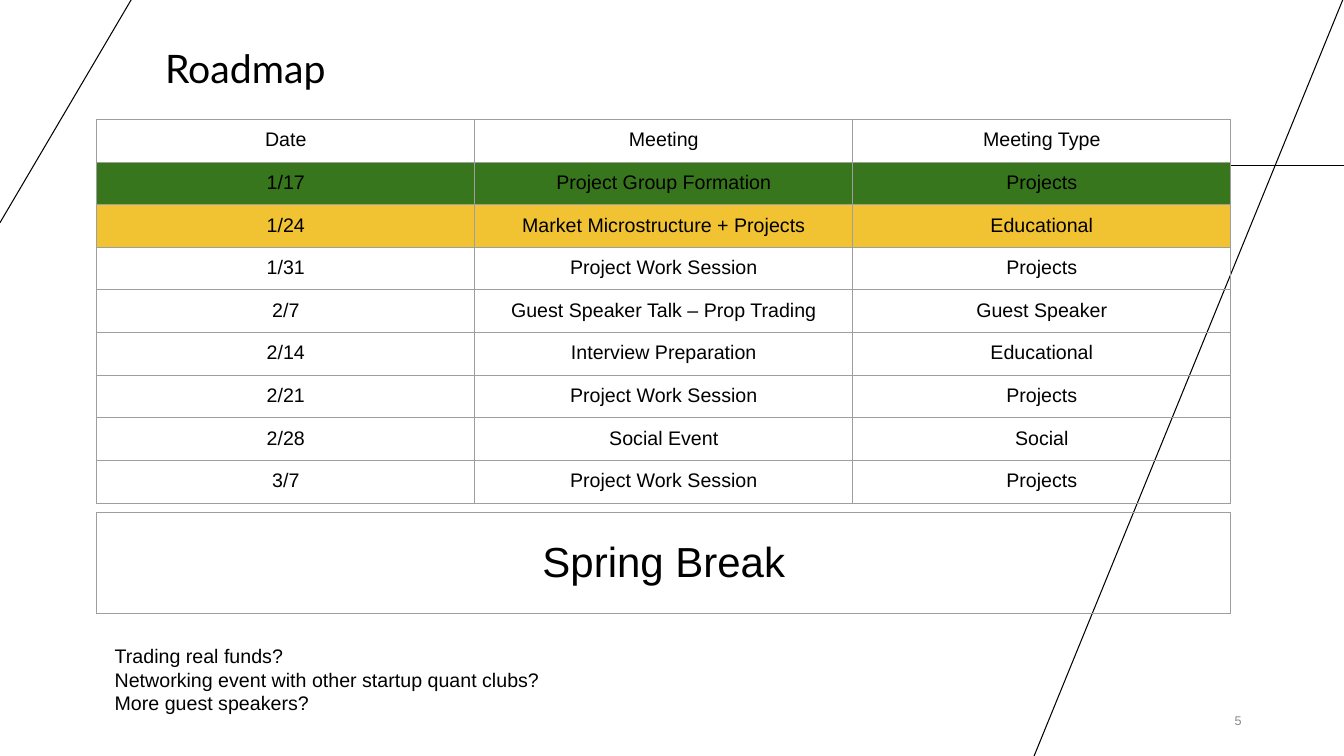
from dataclasses import dataclass

from lxml import etree
from pptx import Presentation
from pptx import util as u
from pptx.dml import color
from pptx.enum import shapes, text
from pptx.oxml import ns

BLACK, GREY, BORDER = "000000", "888888", "9E9E9E"
GREEN, YELLOW = "38761D", "F1C232"
NO_STYLE = "{2D5ABB26-0587-4C30-8999-92F81FD0307C}"
TABLE_LEFT, TABLE_WIDTH = 2.44, 28.58


@dataclass
class Line:
    x1: float
    y1: float
    x2: float
    y2: float


@dataclass
class TextStyle:
    size: float
    font: str = "Arial"
    colour: str = BLACK
    align: text.PP_ALIGN = text.PP_ALIGN.LEFT
    anchor: text.MSO_ANCHOR = text.MSO_ANCHOR.TOP
    spacing: float = 1.0


@dataclass
class Label:
    left: float
    top: float
    width: float
    height: float
    lines: list[str]
    style: TextStyle
    inset_x: float = 0.25
    inset_y: float = 0.13


@dataclass
class Row:
    cells: list[str]
    fill: str | None = None


BACKGROUND_LINES = [
    Line(25.27, 4.17, 33.87, 4.17),
    Line(33.87, -0.08, 26.06, 19.05),
    Line(0, 5.61, 3.35, -0.08),
]

LABELS = [
    Label(3.91, 0.86, 20.24, 1.6, ["Roadmap"],
          TextStyle(28, "Lato", anchor=text.MSO_ANCHOR.BOTTOM, spacing=0.9)),
    Label(28.8, 17.65, 2.74, 1.02, ["5"],
          TextStyle(9, colour=GREY, align=text.PP_ALIGN.RIGHT,
                    anchor=text.MSO_ANCHOR.MIDDLE)),
    Label(2.64, 15.98, 25.81, 2.82,
          ["Trading real funds?",
           "Networking event with other startup quant clubs?",
           "More guest speakers?"],
          TextStyle(14), inset_y=0.25),
]

SCHEDULE = [
    Row(["Date", "Meeting", "Meeting Type"]),
    Row(["1/17", "Project Group Formation", "Projects"], GREEN),
    Row(["1/24", "Market Microstructure + Projects", "Educational"], YELLOW),
    Row(["1/31", "Project Work Session", "Projects"]),
    Row(["2/7", "Guest Speaker Talk – Prop Trading", "Guest Speaker"]),
    Row(["2/14", "Interview Preparation", "Educational"]),
    Row(["2/21", "Project Work Session", "Projects"]),
    Row(["2/28", "Social Event", "Social"]),
    Row(["3/7", "Project Work Session", "Projects"]),
]


def rgb(value: str) -> color.RGBColor:
    return color.RGBColor.from_string(value)


def write_lines(frame, lines: list[str], style: TextStyle) -> None:
    for index, line in enumerate(lines):
        paragraph = frame.paragraphs[0] if index == 0 else frame.add_paragraph()
        paragraph.alignment = style.align
        paragraph.line_spacing = style.spacing
        run = paragraph.add_run()
        run.text = line
        run.font.size = u.Pt(style.size)
        run.font.name = style.font
        run.font.color.rgb = rgb(style.colour)


def add_line(slide, line: Line) -> None:
    connector = slide.shapes.add_connector(
        shapes.MSO_CONNECTOR.STRAIGHT,
        u.Cm(line.x1), u.Cm(line.y1), u.Cm(line.x2), u.Cm(line.y2))
    connector.line.color.rgb = rgb(BLACK)
    connector.line.width = u.Pt(0.75)
    etree.SubElement(connector._element.spPr, ns.qn("a:effectLst"))


def add_label(slide, label: Label) -> None:
    shape = slide.shapes.add_textbox(
        u.Cm(label.left), u.Cm(label.top), u.Cm(label.width), u.Cm(label.height))
    frame = shape.text_frame
    frame.word_wrap = True
    frame.vertical_anchor = label.style.anchor
    frame.margin_left = frame.margin_right = u.Cm(label.inset_x)
    frame.margin_top = frame.margin_bottom = u.Cm(label.inset_y)
    write_lines(frame, label.lines, label.style)


def add_borders(cell) -> None:
    properties = cell._tc.get_or_add_tcPr()
    for side in ("a:lnL", "a:lnR", "a:lnT", "a:lnB"):
        border = etree.SubElement(properties, ns.qn(side), w=str(u.Pt(0.75)))
        fill = etree.SubElement(border, ns.qn("a:solidFill"))
        etree.SubElement(fill, ns.qn("a:srgbClr"), val=BORDER)


def add_grid(slide, top: float, row_height: float, rows: list[Row],
             style: TextStyle) -> None:
    columns = len(rows[0].cells)
    frame = slide.shapes.add_table(
        len(rows), columns, u.Cm(TABLE_LEFT), u.Cm(top),
        u.Cm(TABLE_WIDTH), u.Cm(row_height * len(rows)))
    table = frame.table
    table.first_row = table.horz_banding = False
    table._tbl.tblPr.find(ns.qn("a:tableStyleId")).text = NO_STYLE
    for row_index, row in enumerate(rows):
        table.rows[row_index].height = u.Cm(row_height)
        for column_index, content in enumerate(row.cells):
            cell = table.cell(row_index, column_index)
            add_borders(cell)
            if row.fill:
                cell.fill.solid()
                cell.fill.fore_color.rgb = rgb(row.fill)
            else:
                cell.fill.background()
            cell.margin_left = cell.margin_right = u.Cm(0.25)
            cell.margin_top = cell.margin_bottom = u.Cm(0.24)
            cell.vertical_anchor = style.anchor
            write_lines(cell.text_frame, [content], style)


def main() -> None:
    presentation = Presentation()
    presentation.slide_width = u.Cm(33.87)
    presentation.slide_height = u.Cm(19.05)
    slide = presentation.slides.add_slide(presentation.slide_layouts[6])

    # Background lines, behind everything else
    for line in BACKGROUND_LINES:
        add_line(slide, line)

    # Title, slide number and open questions
    for label in LABELS:
        add_label(slide, label)

    # Meeting schedule and the break after it
    add_grid(slide, 3.01, 1.06, SCHEDULE,
             TextStyle(14, align=text.PP_ALIGN.CENTER))
    add_grid(slide, 12.91, 2.54, [Row(["Spring Break"])],
             TextStyle(30, align=text.PP_ALIGN.CENTER,
                       anchor=text.MSO_ANCHOR.MIDDLE))

    presentation.save("out.pptx")


if __name__ == "__main__":
    main()
